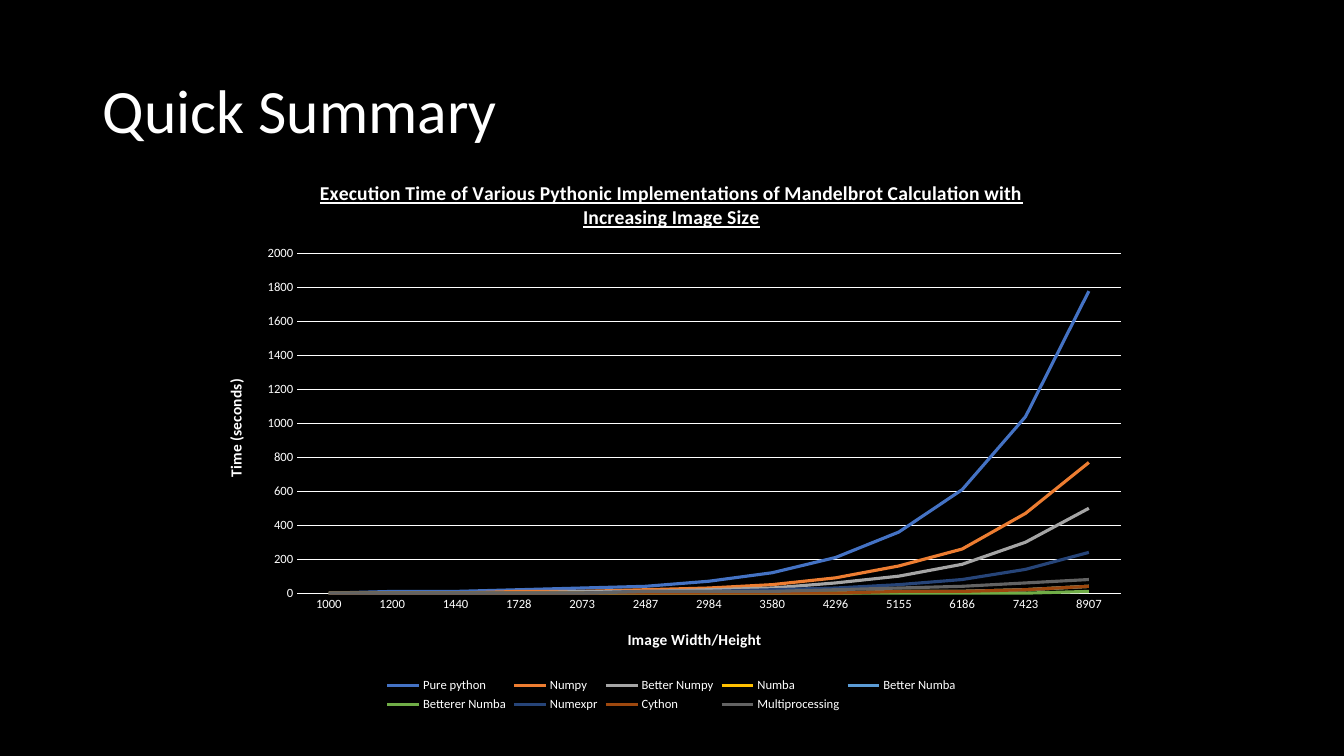
import pptx
import pptx.chart.data
import pptx.dml.color
import pptx.enum.chart
import pptx.enum.text
import pptx.oxml
import pptx.oxml.ns
import pptx.util
from dataclasses import dataclass

Inches = pptx.util.Inches
Pt = pptx.util.Pt
qn = pptx.oxml.ns.qn


@dataclass(frozen=True)
class Theme:
    background = pptx.dml.color.RGBColor.from_string("000000")
    text = pptx.dml.color.RGBColor.from_string("FFFFFF")
    font = "Calibri"
    title_size = Pt(44)
    chart_title_size = Pt(14)
    axis_title_size = Pt(11)
    chart_size = Pt(10)
    label_size = Pt(9)
    grid_width = Pt(0.75)
    series_width = Pt(2.25)


theme = Theme()


def write_text(text_frame, text, size, bold=False, underline=False):
    text_frame.text = text
    paragraph = text_frame.paragraphs[0]
    font = paragraph.runs[0].font
    font.name, font.size, font.bold, font.underline = theme.font, size, bold, underline
    font.color.rgb = theme.text
    return paragraph


def place(element, **fractions):
    """Position a chart part by fractions of the chart's width and height."""
    for layout in element.findall(qn("c:layout")):
        element.remove(layout)
    inner = '<c:layoutTarget val="inner"/>' if "w" in fractions else ""
    modes = "".join(f'<c:{key}Mode val="edge"/>' for key in ("x", "y"))
    sizes = "".join(f'<c:{key} val="{value}"/>' for key, value in fractions.items())
    layout = pptx.oxml.parse_xml(
        '<c:layout xmlns:c="http://schemas.openxmlformats.org/drawingml/2006/chart">'
        f"<c:manualLayout>{inner}{modes}{sizes}</c:manualLayout></c:layout>")
    element.insert(0 if element.find(qn("c:tx")) is None else 1, layout)


presentation = pptx.Presentation()
presentation.slide_width = Inches(13.33)
presentation.slide_height = Inches(7.5)
slide = presentation.slides.add_slide(presentation.slide_layouts[5])
slide.background.fill.solid()
slide.background.fill.fore_color.rgb = theme.background

# Slide title
title = slide.shapes.title
title.left, title.top, title.width, title.height = (
    Inches(0.92), Inches(0.4), Inches(11.5), Inches(1.45))
title.text_frame.vertical_anchor = pptx.enum.text.MSO_ANCHOR.MIDDLE
paragraph = write_text(title.text_frame, "Quick Summary", size=theme.title_size)
paragraph.alignment = pptx.enum.text.PP_ALIGN.LEFT
paragraph.line_spacing = 0.9

# Execution times in seconds, by image size
image_sizes = [1000, 1200, 1440, 1728, 2073, 2487, 2984, 3580, 4296, 5155, 6186, 7423, 8907]
timings = [
    ("Pure python", "4472C4", [0, 10, 10, 20, 30, 40, 70, 120, 210, 360, 610, 1040, 1780]),
    ("Numpy", "ED7D31", [0, 0, 0, 10, 10, 20, 30, 50, 90, 160, 260, 470, 770]),
    ("Better Numpy", "A5A5A5", [0, 0, 0, 0, 10, 10, 20, 30, 60, 100, 170, 300, 500]),
    ("Numba", "FFC000", [0, 0, 0, 0, 0, 0, 0, 0, 0, 10, 10, 20, 40]),
    ("Better Numba", "5B9BD5", [0, 0, 0, 0, 0, 0, 0, 0, 0, 10, 10, 20, 40]),
    ("Betterer Numba", "70AD47", [0, 0, 0, 0, 0, 0, 0, 0, 0, 0, 0, 0, 10]),
    ("Numexpr", "264478", [0, 0, 0, 0, 0, 10, 10, 20, 30, 50, 80, 140, 240]),
    ("Cython", "9E480E", [0, 0, 0, 0, 0, 0, 0, 0, 0, 10, 10, 20, 40]),
    ("Multiprocessing", "636363", [0, 0, 0, 0, 0, 10, 10, 10, 20, 30, 40, 60, 80]),
]
chart_data = pptx.chart.data.CategoryChartData()
chart_data.categories = [str(image_size) for image_size in image_sizes]
for name, color, seconds in timings:
    chart_data.add_series(name, seconds)

# Line chart
chart = slide.shapes.add_chart(
    pptx.enum.chart.XL_CHART_TYPE.LINE,
    Inches(2.02), Inches(1.58), Inches(9.28), Inches(5.52), chart_data).chart
chart.font.name, chart.font.size = theme.font, theme.chart_size
chart.font.color.rgb = theme.text
plot = chart.plots[0]
plot.vary_by_categories = False
for series, (name, color, seconds) in zip(plot.series, timings):
    series.smooth = False
    series.marker.style = pptx.enum.chart.XL_MARKER_STYLE.NONE
    series.format.line.width = theme.series_width
    series.format.line.color.rgb = pptx.dml.color.RGBColor.from_string(color)
place(chart.plots[0]._element.getparent(), x=0.1, y=0.17, w=0.88, h=0.61)

# Chart title
write_text(chart.chart_title.text_frame,
           "Execution Time of Various Pythonic Implementations of Mandelbrot Calculation "
           "with Increasing Image Size",
           size=theme.chart_title_size, bold=True, underline=True)
chart.chart_title.include_in_layout = False

# Axes
category_axis, value_axis = chart.category_axis, chart.value_axis
for axis, text, x, y in [(category_axis, "Image Width/Height", 0.45, 0.84),
                         (value_axis, "Time (seconds)", 0.02, 0.39)]:
    write_text(axis.axis_title.text_frame, text, size=theme.axis_title_size, bold=True)
    place(axis.axis_title._element, x=x, y=y)
    axis.major_tick_mark = axis.minor_tick_mark = pptx.enum.chart.XL_TICK_MARK.NONE
    axis.tick_labels.font.name = theme.font
    axis.tick_labels.font.size = theme.label_size
    axis.tick_labels.font.color.rgb = theme.text
value_axis.axis_title._element.find(".//" + qn("a:bodyPr")).set("rot", "-5400000")
value_axis.minimum_scale, value_axis.maximum_scale, value_axis.major_unit = 0, 2000, 200
value_axis.format.line.fill.background()
for line in (category_axis.format.line, value_axis.major_gridlines.format.line):
    line.color.rgb = theme.text
    line.width = theme.grid_width

# Legend
chart.has_legend = True
legend = chart.legend
legend.position = pptx.enum.chart.XL_LEGEND_POSITION.BOTTOM
legend.include_in_layout = False
legend.font.name, legend.font.size = theme.font, theme.label_size
legend.font.color.rgb = theme.text

presentation.save("out.pptx")
